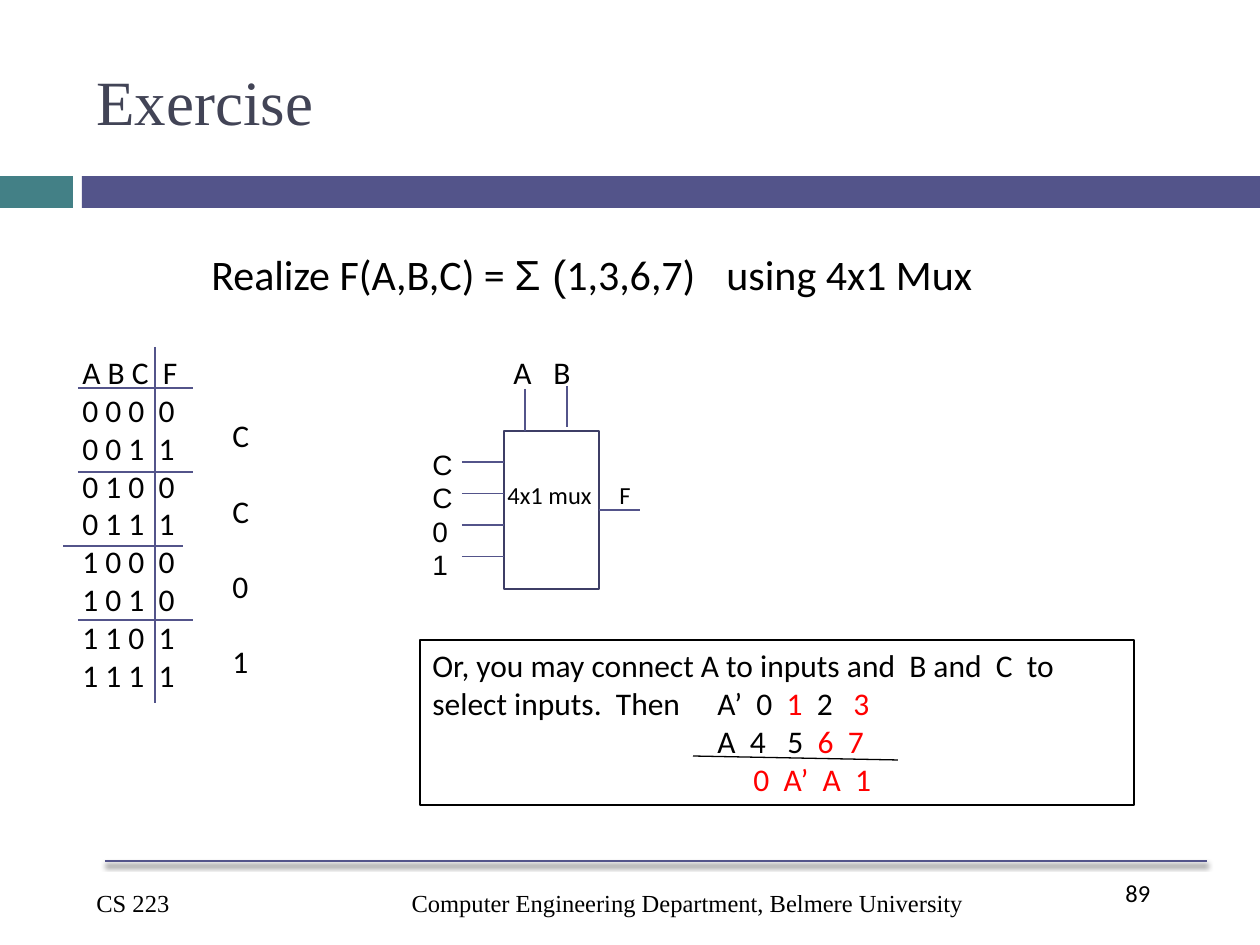
import pptx
import pptx.util
import pptx.dml.color
import pptx.enum.shapes
import pptx.enum.text
import pptx.oxml
import pptx.oxml.ns
from lxml import etree

EMU_PER_PIXEL = 914400 / 126
COLORS = {
    "teal": "438086", "indigo": "53548A", "navy": "3D3E66", "title": "424456",
    "black": "000000", "white": "FFFFFF", "red": "FF0000",
}
ALIGN = pptx.enum.text.PP_ALIGN
ANCHOR = pptx.enum.text.MSO_ANCHOR
TRUTH_ROWS = ["A B C  F", "0 0 0  0", "0 0 1  1", "0 1 0  0", "0 1 1  1",
              "1 0 0  0", "1 0 1  0", "1 1 0  1", "1 1 1  1"]


def px(pixels):
    return pptx.util.Emu(round(pixels * EMU_PER_PIXEL))


def rgb(name):
    return pptx.dml.color.RGBColor.from_string(COLORS[name])


def add_effects(parent):
    tag = pptx.oxml.ns.qn("a:effectLst")
    return etree.SubElement(parent, tag)


def add_line(slide, x1, y1, x2, y2, color="indigo", width=0.79):
    line = slide.shapes.add_connector(
        pptx.enum.shapes.MSO_CONNECTOR.STRAIGHT, px(x1), px(y1), px(x2), px(y2))
    line.line.color.rgb = rgb(color)
    line.line.width = pptx.util.Pt(width)
    return add_effects(line._element.spPr)


def add_box(slide, x, y, w, h, fill, border=None, width=0.75):
    box = slide.shapes.add_shape(
        pptx.enum.shapes.MSO_SHAPE.RECTANGLE, px(x), px(y), px(w), px(h))
    box.shadow.inherit = False
    box.fill.solid()
    box.fill.fore_color.rgb = rgb(fill)
    if border:
        box.line.color.rgb = rgb(border)
        box.line.width = pptx.util.Pt(width)
    else:
        box.line.fill.background()
    return box


def set_tabs(paragraph, stops):
    properties = paragraph._p.get_or_add_pPr()
    tabs = etree.SubElement(properties, pptx.oxml.ns.qn("a:tabLst"))
    for stop in stops:
        etree.SubElement(tabs, pptx.oxml.ns.qn("a:tab"), pos=str(px(stop)), algn="l")


def write(shape, paragraphs, size, font="Calibri", color="black", align=ALIGN.LEFT,
          anchor=ANCHOR.TOP, tabs=(), gap=0, wrap=True):
    """Each paragraph is a string or a list of (text, overrides) runs."""
    frame = shape.text_frame
    frame.word_wrap = wrap
    frame.vertical_anchor = anchor
    for index, runs in enumerate(paragraphs):
        paragraph = frame.add_paragraph() if index else frame.paragraphs[0]
        paragraph.alignment = align
        paragraph.space_after = pptx.util.Pt(gap)
        if tabs:
            set_tabs(paragraph, tabs)
        for text, style in [(runs, {})] if isinstance(runs, str) else runs:
            run = paragraph.add_run()
            run.text = text
            run.font.size = pptx.util.Pt(size)
            run.font.name = style.get("font", font)
            run.font.color.rgb = rgb(style.get("color", color))
    return shape


def add_text(slide, x, y, w, h, paragraphs, size, **style):
    return write(slide.shapes.add_textbox(px(x), px(y), px(w), px(h)),
                 paragraphs, size, **style)


def add_frame(slide):
    # Title and colour band
    add_box(slide, 0, 176, 73, 32, "teal")
    add_box(slide, 82, 176, 1178, 32, "indigo")
    add_text(slide, 84, 32, 1124, 136, ["Exercise"], 36, font="Times New Roman",
             color="title", anchor=ANCHOR.MIDDLE)
    # Footer with its shadowed rule
    effects = add_line(slide, 105, 861, 1207, 861, width=1.5)
    effects.append(pptx.oxml.parse_xml(
        '<a:outerShdw xmlns:a="http://schemas.openxmlformats.org/drawingml/2006/main" '
        'blurRad="38100" dist="30480" dir="5400000" rotWithShape="0">'
        '<a:srgbClr val="000000"><a:alpha val="45000"/></a:srgbClr></a:outerShdw>'))
    add_text(slide, 84, 882, 231, 43, ["CS 223"], 14, font="Times New Roman")
    add_text(slide, 325, 882, 725, 43,
             ["Computer Engineering Department, Belmere University"], 14,
             font="Times New Roman", align=ALIGN.CENTER)
    add_text(slide, 1113, 872, 95, 63, ["89"], 14)


def add_truth_table(slide):
    add_text(slide, 70, 347, 176, 357, TRUTH_ROWS, 18)
    add_line(slide, 155, 347, 155, 703)
    for x, y, length in [(78, 388, 115), (78, 472, 115), (63, 546, 120), (78, 620, 115)]:
        add_line(slide, x, y, x + length, y)
    # Value of F for each pair of rows
    add_text(slide, 220, 410, 49, 318, ["C", "C", "0", "1"], 18, gap=21.5)


def add_mux(slide):
    add_box(slide, 504, 431, 95, 158, "white", "navy", 1.5)
    for index in range(4):
        y = 462 + index * 31.5
        add_line(slide, 462, y, 504, y)
    add_line(slide, 599, 510, 640, 510)
    add_line(slide, 525, 389, 525, 431)
    add_line(slide, 567, 386, 567, 427)
    add_text(slide, 501, 347, 116, 50, ["A\tB"], 18, tabs=[40])
    add_text(slide, 495, 474, 193, 43, ["4x1 mux\tF"], 14, tabs=[112])
    add_text(slide, 420, 441, 32, 149, ["C", "C", "0", "1"], 16, font="Arial", wrap=False)


def add_alternative(slide):
    red = {"color": "red"}
    note = add_box(slide, 420, 640, 714, 165, "white", "black")
    write(note, [
        [("Or, you may connect A to inputs and  B and  C  to select inputs.  Then\tA’  0", {}),
         ("  1  ", red), ("2", {}), ("\t3", red)],
        [("\tA  4\t5  ", {}), ("6  7", red)],
        [("\t\t0  A’  A  1", red)],
    ], 18, tabs=[285, 321, 355, 421])
    add_line(slide, 693, 756, 898, 760, "black", 0.75)


def main():
    deck = pptx.Presentation()
    deck.slide_width, deck.slide_height = px(1260), px(945)
    slide = deck.slides.add_slide(deck.slide_layouts[6])
    add_frame(slide)
    # Task
    add_text(slide, 199, 242, 830, 63, [[
        ("Realize F(A,B,C) = ", {}), ("Σ (", {"font": "Arial"}),
        ("1,3,6,7)\tusing 4x1 Mux", {})]], 24, tabs=[515])
    add_truth_table(slide)
    add_mux(slide)
    add_alternative(slide)
    deck.save("out.pptx")


main()
